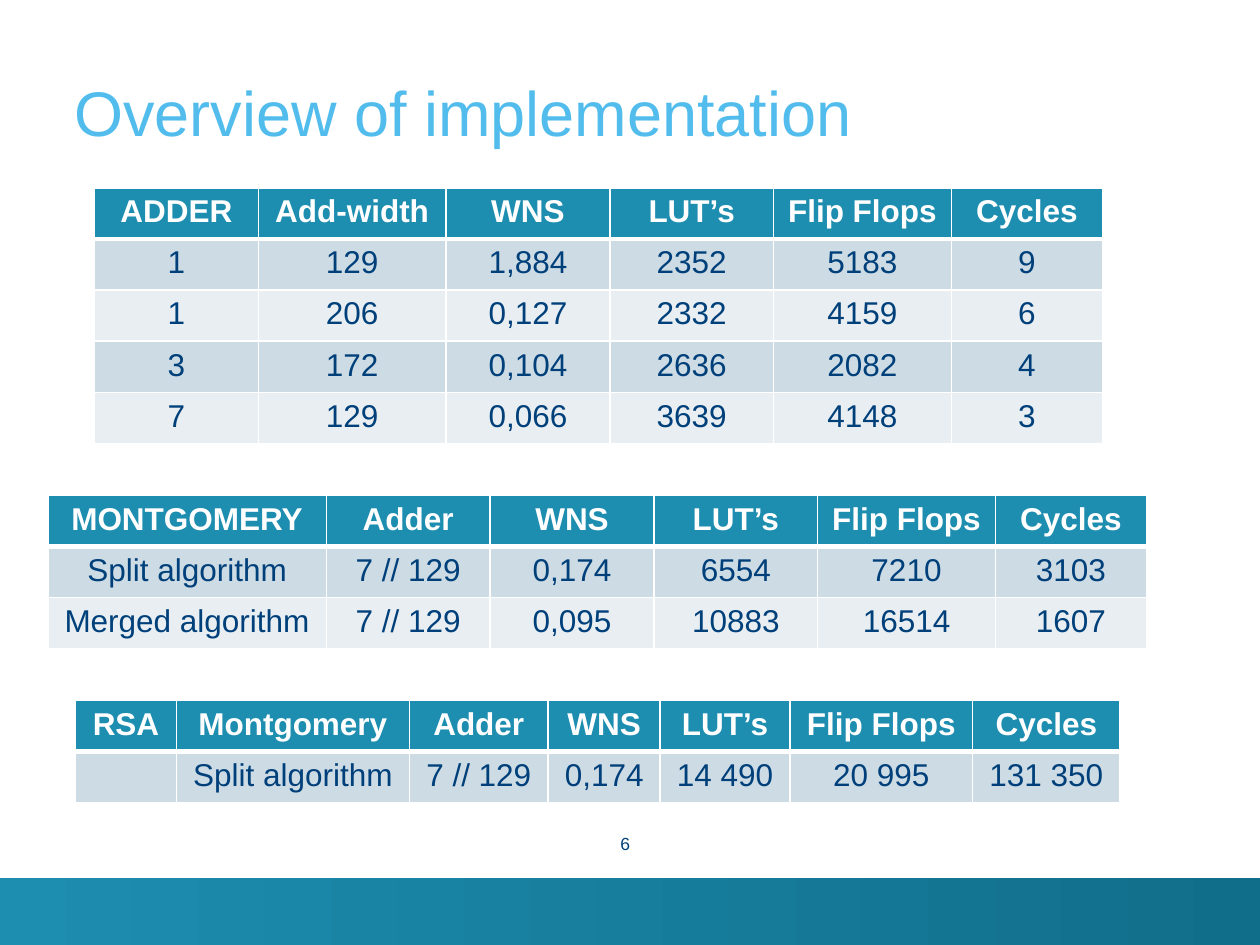
from dataclasses import dataclass

from lxml import etree
from pptx import Presentation
from pptx.dml.color import RGBColor
from pptx.enum.shapes import MSO_SHAPE
from pptx.enum.text import MSO_ANCHOR, MSO_AUTO_SIZE, PP_ALIGN
from pptx.oxml.ns import qn
from pptx.util import Inches, Pt

RECTANGLE = MSO_SHAPE.RECTANGLE
TOP, BOTTOM = MSO_ANCHOR.TOP, MSO_ANCHOR.BOTTOM
NO_FIT = MSO_AUTO_SIZE.NONE
LEFT, CENTER, RIGHT = PP_ALIGN.LEFT, PP_ALIGN.CENTER, PP_ALIGN.RIGHT


@dataclass(frozen=True)
class Theme:
    font: str = "Arial"
    title: str = "52BDEC"
    header: str = "1D8DB0"
    band_end: str = "116E8A"
    ink: str = "00407A"
    white: str = "FFFFFF"
    stripes: tuple[str, str] = ("CDDBE4", "E8EEF2")
    title_size: int = 36
    table_size: int = 18
    number_size: int = 10
    border: int = 1
    header_border: int = 3


@dataclass(frozen=True)
class ResultTable:
    left: float
    top: float
    widths: list[float]
    rows: list[list[str]]


THEME = Theme()
ROW_HEIGHT = 0.406
SHARED_WIDTHS = [1.3, 1.3, 1.41, 1.2]
SHARED_HEADS = ["WNS", "LUT’s", "Flip Flops", "Cycles"]
TABLES = [
    ResultTable(0.75, 1.49, [1.3, 1.49, *SHARED_WIDTHS], [
        ["ADDER", "Add-width", *SHARED_HEADS],
        ["1", "129", "1,884", "2352", "5183", "9"],
        ["1", "206", "0,127", "2332", "4159", "6"],
        ["3", "172", "0,104", "2636", "2082", "4"],
        ["7", "129", "0,066", "3639", "4148", "3"],
    ]),
    ResultTable(0.38, 3.93, [2.21, 1.3, *SHARED_WIDTHS], [
        ["MONTGOMERY", "Adder", *SHARED_HEADS],
        ["Split algorithm", "7 // 129", "0,174", "6554", "7210", "3103"],
        ["Merged algorithm", "7 // 129", "0,095", "10883", "16514", "1607"],
    ]),
    ResultTable(0.6, 5.56, [0.8, 1.85, 1.1, 0.89, 1.03, 1.45, 1.17], [
        ["RSA", "Montgomery", "Adder", *SHARED_HEADS],
        ["", "Split algorithm", "7 // 129", "0,174", "14 490", "20 995", "131 350"],
    ]),
]


def color(value: str) -> RGBColor:
    return RGBColor.from_string(value)


def write_text(frame, text: str, *, size: int, ink: str, align, bold: bool = False) -> None:
    para = frame.paragraphs[0]
    para.alignment = align
    para.font.size = Pt(size)
    if not text:
        return
    span = para.add_run()
    span.text = text
    span.font.name = THEME.font
    span.font.size = Pt(size)
    span.font.bold = bold
    span.font.color.rgb = color(ink)


def place(shape, left: float, top: float, width: float, height: float, anchor) -> None:
    shape.left, shape.top = Inches(left), Inches(top)
    shape.width, shape.height = Inches(width), Inches(height)
    frame = shape.text_frame
    frame.margin_left = frame.margin_right = frame.margin_top = frame.margin_bottom = 0
    frame.word_wrap = True
    frame.auto_size = NO_FIT
    frame.vertical_anchor = anchor


def add_borders(cell, top: int, bottom: int) -> None:
    properties = cell._tc.get_or_add_tcPr()
    sides = {"lnL": THEME.border, "lnR": THEME.border, "lnT": top, "lnB": bottom}
    for side, points in sides.items():
        line = etree.SubElement(properties, qn(f"a:{side}"), w=str(Pt(points)))
        fill = etree.SubElement(line, qn("a:solidFill"))
        etree.SubElement(fill, qn("a:srgbClr"), val=THEME.white)


def add_result_table(page, result: ResultTable) -> None:
    row_count = len(result.rows)
    table = page.shapes.add_table(
        row_count, len(result.widths), Inches(result.left), Inches(result.top),
        Inches(sum(result.widths)), Inches(ROW_HEIGHT * row_count),
    ).table
    for column, width in zip(table.columns, result.widths):
        column.width = Inches(width)
    for row_index, values in enumerate(result.rows):
        table.rows[row_index].height = Inches(ROW_HEIGHT)
        is_header = row_index == 0
        fill = THEME.header if is_header else THEME.stripes[(row_index - 1) % 2]
        top = THEME.header_border if row_index == 1 else THEME.border
        bottom = THEME.header_border if is_header else THEME.border
        for column_index, value in enumerate(values):
            cell = table.cell(row_index, column_index)
            add_borders(cell, top, bottom)
            cell.fill.solid()
            cell.fill.fore_color.rgb = color(fill)
            write_text(cell.text_frame, value, size=THEME.table_size, align=CENTER,
                       ink=THEME.white if is_header else THEME.ink, bold=is_header)


def add_footer_band(page) -> None:
    band = page.shapes.add_shape(RECTANGLE, 0, Inches(6.97), Inches(10), Inches(0.53))
    band.shadow.inherit = False
    band.line.fill.background()
    band.fill.gradient()
    band.fill.gradient_angle = 0
    for stop, value in zip(band.fill.gradient_stops, (THEME.header, THEME.band_end)):
        stop.color.rgb = color(value)


def main() -> None:
    deck = Presentation()
    deck.slide_width, deck.slide_height = Inches(10), Inches(7.5)
    page = deck.slides.add_slide(deck.slide_layouts.get_by_name("Title Only"))
    add_footer_band(page)

    title = page.shapes.title
    place(title, 0.59, 0.2, 9.11, 0.98, BOTTOM)
    write_text(title.text_frame, "Overview of implementation",
               size=THEME.title_size, ink=THEME.title, align=LEFT)

    for result in TABLES:
        add_result_table(page, result)

    number = page.shapes.add_textbox(0, 0, 0, 0)
    place(number, 3.98, 6.61, 1.02, 0.31, TOP)
    write_text(number.text_frame, "6", size=THEME.number_size, ink=THEME.ink, align=RIGHT)
    deck.save("out.pptx")


main()
